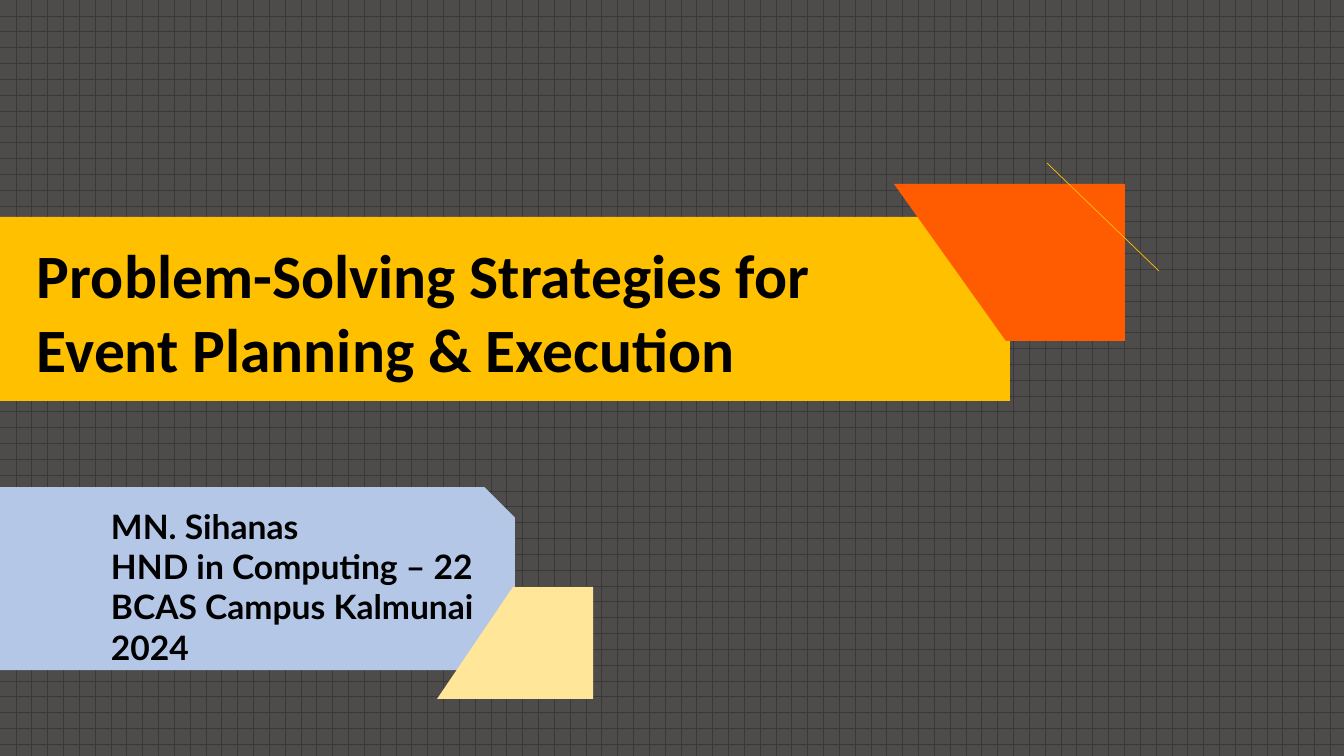
from lxml import etree
from pptx import Presentation
from pptx.dml.color import RGBColor
from pptx.enum.dml import MSO_PATTERN
from pptx.enum.shapes import MSO_CONNECTOR, MSO_SHAPE
from pptx.enum.text import MSO_ANCHOR, MSO_AUTO_SIZE, PP_ALIGN
from pptx.oxml.ns import qn
from pptx.util import Pt

RECT, SNIP = MSO_SHAPE.RECTANGLE, MSO_SHAPE.SNIP_1_RECTANGLE
STRAIGHT = MSO_CONNECTOR.STRAIGHT
DOT_GRID = MSO_PATTERN.DOTTED_GRID
TOP, MIDDLE = MSO_ANCHOR.TOP, MSO_ANCHOR.MIDDLE
LEFT = PP_ALIGN.LEFT
NO_FIT = MSO_AUTO_SIZE.NONE

W, H = 1344, 756
EMU_PER_PX = 914400 / 100.8
COLORS = {
    "white": "FFFFFF",
    "black": "000000",
    "charcoal": "3B3838",
    "gold": "FFC000",
    "orange": "FF5C01",
    "blue": "B4C7E7",
    "cream": "FFE699",
}


def px(n):
    return round(n * EMU_PER_PX)


def rgb(name):
    return RGBColor.from_string(COLORS[name])


class Slide:
    def __init__(self, prs):
        self.s = prs.slides.add_slide(prs.slide_layouts[5])

    def paint(self, sp, color):
        sp.shadow.inherit = False
        sp.line.fill.background()
        sp.fill.solid()
        sp.fill.fore_color.rgb = rgb(color)
        return sp

    def box(self, x, y, w, h, color, kind=RECT):
        sp = self.s.shapes.add_shape(kind, px(x), px(y), px(w), px(h))
        return self.paint(sp, color)

    def grid(self, fore, back):
        fill = self.box(0, 0, W, H, back).fill
        fill.patterned()
        fill.pattern = DOT_GRID
        fill.fore_color.rgb = rgb(fore)
        fill.back_color.rgb = rgb(back)

    def veil(self, color, percent):
        sp = self.box(0, 0, W, H, color)
        clr = sp.element.spPr.find(qn("a:solidFill")).find(qn("a:srgbClr"))
        etree.SubElement(clr, qn("a:alpha"), val=str(percent * 1000))

    def polygon(self, points, color):
        fb = self.s.shapes.build_freeform(*points[0], scale=EMU_PER_PX)
        fb.add_line_segments(points[1:], close=True)
        self.paint(fb.convert_to_shape(), color)

    def line(self, x1, y1, x2, y2, color, width):
        c = self.s.shapes.add_connector(STRAIGHT, px(x1), px(y1), px(x2), px(y2))
        c.line.color.rgb = rgb(color)
        c.line.width = Pt(width)
        etree.SubElement(c.element.spPr, qn("a:effectLst"))

    def set_text(self, sp, lines, font, size, anchor, margins):
        tf = sp.text_frame
        tf.word_wrap = True
        tf.auto_size = NO_FIT
        tf.vertical_anchor = anchor
        tf.margin_left, tf.margin_top, tf.margin_right, tf.margin_bottom = map(px, margins)
        tf.text = "\n".join(lines)
        for p in tf.paragraphs:
            p.alignment = LEFT
            p.line_spacing = 1.0
            p.font.name = font
            p.font.size = Pt(size)
            p.font.bold = True
            p.font.color.rgb = rgb("black")

    def title(self, x, y, w, h, text):
        sp = self.s.shapes.title
        sp.left, sp.top, sp.width, sp.height = map(px, (x, y, w, h))
        sp.element.getparent().append(sp.element)
        self.set_text(sp, [text], "Calibri", 44, TOP, (0, 0, 0, 0))

    def label(self, x, y, w, h, color, lines):
        sp = self.box(x, y, w, h, color, SNIP)
        self.set_text(sp, lines, "Lato", 24, MIDDLE, (111, 5, 10, 5))


def main():
    prs = Presentation()
    prs.slide_width, prs.slide_height = px(W), px(H)
    slide = Slide(prs)
    slide.grid("charcoal", "white")
    slide.veil("charcoal", 90)
    slide.box(0, 217, 1010, 184, "gold")
    slide.polygon([(894, 184), (1125, 184), (1125, 341), (1006, 341)], "orange")
    slide.title(37, 237, 901, 149, "Problem-Solving Strategies for Event Planning & Execution")
    slide.line(1047, 163, 1159, 271, "gold", 0.5)
    slide.label(0, 487, 515, 183, "blue", [
        "MN. Sihanas",
        "HND in Computing – 22",
        "BCAS Campus Kalmunai",
        "2024",
    ])
    slide.polygon([(513, 587), (593, 587), (593, 699), (437, 699)], "cream")
    prs.save("out.pptx")


if __name__ == "__main__":
    main()
